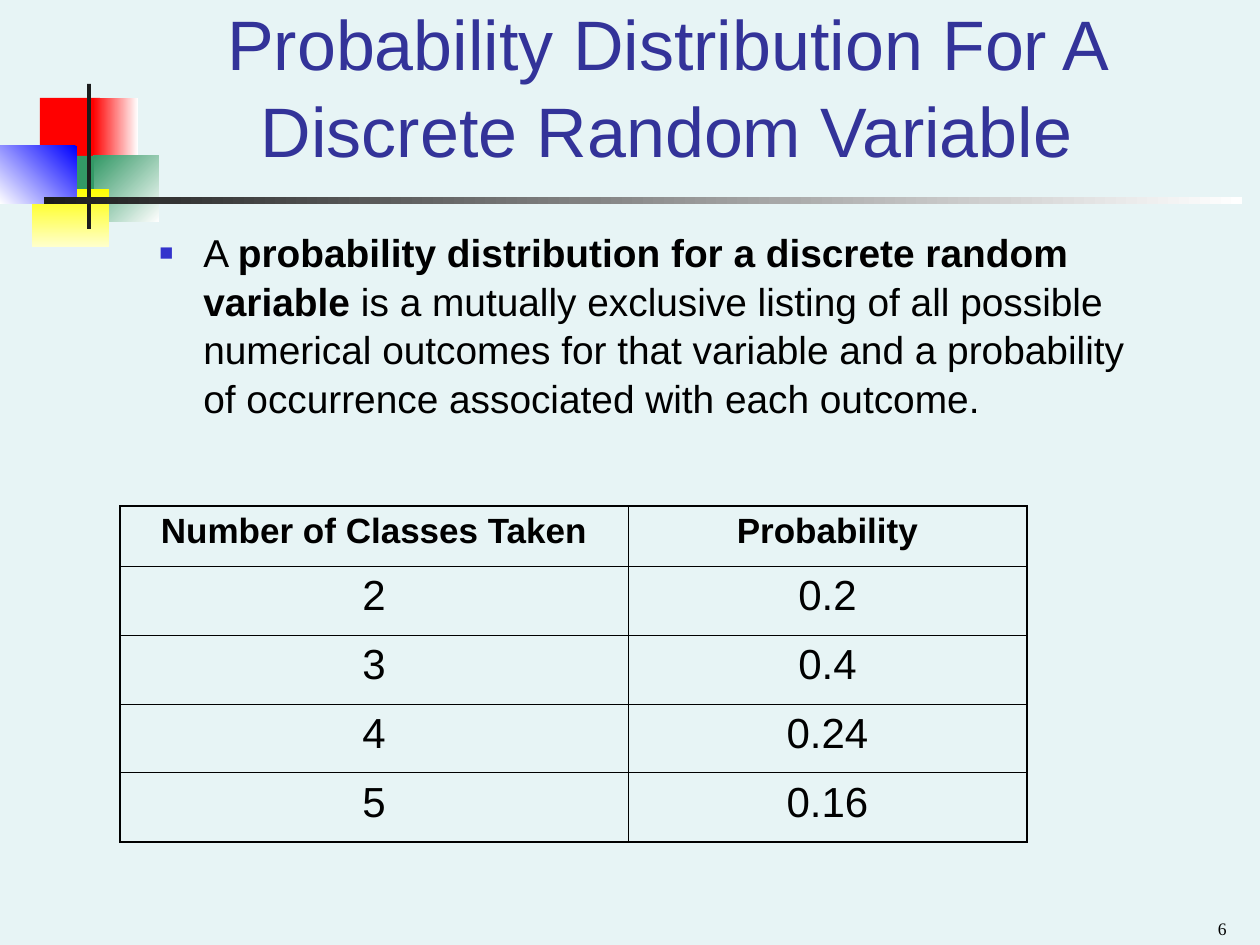
"""Build a slide on the probability distribution of a discrete random variable."""
from dataclasses import dataclass

from lxml.etree import SubElement as Sub
from pptx import Presentation as Deck
from pptx.dml.color import RGBColor as Color
from pptx.enum.shapes import MSO_SHAPE as Kind
from pptx.enum.text import MSO_ANCHOR as Anchor, PP_ALIGN as Align
from pptx.oxml.ns import qn
from pptx.util import Pt

SCALE = 914400 / 126


def emu(px):
    return round(px * SCALE)


@dataclass(frozen=True)
class Theme:
    back: str = "E7F4F5"
    title: str = "333399"
    ink: str = "000000"
    mark: str = "3333CC"
    dark: str = "1C1C1C"
    white: str = "FFFFFF"
    red: str = "FF0000"
    green: str = "339966"
    yellow: str = "FFFF00"
    cream: str = "FFFFCC"
    blue: str = "0000FF"
    sans: str = "Arial"
    serif: str = "Times New Roman"
    head: float = 40
    body: float = 22.2
    label: float = 20
    value: float = 24
    note: float = 10
    thin: float = 0.45
    thick: float = 1.08
    lead: float = 1.04


class Page:
    def __init__(self, slide, theme):
        self.slide, self.theme = slide, theme
        fill = slide.background.fill
        fill.solid()
        fill.fore_color.rgb = Color.from_string(theme.back)

    def block(self, box, tones, angle=0):
        shape = self.slide.shapes.add_shape(Kind.RECTANGLE, *map(emu, box))
        shape.shadow.inherit = False
        shape.line.fill.background()
        if len(tones) == 1:
            shape.fill.solid()
            shape.fill.fore_color.rgb = Color.from_string(tones[0])
            return
        shape.fill.gradient()
        shape.fill.gradient_angle = 360 - angle
        for stop, tone in zip(shape.fill.gradient_stops, tones):
            stop.color.rgb = Color.from_string(tone)

    def style(self, par, size, tone, face, align):
        par.alignment = align
        for run in par.runs:
            run.font.size = Pt(size)
            run.font.name = face
            run.font.color.rgb = Color.from_string(tone)

    def text(self, box, words, size, tone, face, align, anchor):
        frame = self.slide.shapes.add_textbox(*map(emu, box)).text_frame
        frame.word_wrap = True
        frame.vertical_anchor = anchor
        par = frame.paragraphs[0]
        par.text = words[0]
        for word in words[1:]:
            par.add_run().text = word
        self.style(par, size, tone, face, align)
        return par

    def bullet(self, par, px):
        props = par._p.get_or_add_pPr()
        props.set("marL", str(emu(px)))
        props.set("indent", str(-emu(px)))
        Sub(Sub(props, qn("a:buClr")), qn("a:srgbClr"), val=self.theme.mark)
        Sub(props, qn("a:buSzPct"), val="60000")
        Sub(props, qn("a:buFont"), typeface=self.theme.sans)
        Sub(props, qn("a:buChar"), char="■")

    def border(self, cell, sides):
        props = cell._tc.get_or_add_tcPr()
        for side, outer in sides.items():
            width = self.theme.thick if outer else self.theme.thin
            line = Sub(props, qn(f"a:ln{side}"), w=str(Pt(width)))
            Sub(Sub(line, qn("a:solidFill")), qn("a:srgbClr"), val=self.theme.ink)

    def table(self, spot, rows, wide, high):
        theme = self.theme
        box = (*spot, sum(wide), sum(high))
        grid = self.slide.shapes.add_table(len(rows), len(wide), *map(emu, box)).table
        grid.first_row = grid.horz_banding = False
        for col, px in zip(grid.columns, wide):
            col.width = emu(px)
        for r, row in enumerate(rows):
            grid.rows[r].height = emu(high[r])
            for c, word in enumerate(row):
                cell = grid.cell(r, c)
                self.border(cell, {"L": c == 0, "R": c == len(wide) - 1,
                                   "T": r == 0, "B": r == len(rows) - 1})
                cell.fill.background()
                cell.text_frame.text = word
                par = cell.text_frame.paragraphs[0]
                size = theme.value if r else theme.label
                self.style(par, size, theme.ink, theme.sans, Align.CENTER)
                par.space_before = Pt(6 if r else 5)
                par.runs[0].font.bold = r == 0


def main():
    """Draw the slide and save it."""
    deck = Deck()
    deck.slide_width, deck.slide_height = emu(1260), emu(945)
    theme = Theme()
    page = Page(deck.slides.add_slide(deck.slide_layouts[6]), theme)

    for box, tones, angle in (
        ((40, 98, 60, 66), [theme.red], 0),
        ((93, 98, 45, 66), [theme.white, theme.red], 180),
        ((94, 156, 65, 66), [theme.white, theme.green], 225),
        ((54, 156, 40, 66), [theme.green], 0),
        ((32, 189, 77, 58), [theme.yellow, theme.cream], 90),
        ((0, 146, 77, 58), [theme.blue, theme.white], 135),
        ((87, 84, 4, 145), [theme.dark], 0),
        ((44, 197, 1198, 7), [theme.white, theme.dark], 180),
    ):
        page.block(box, tones, angle)

    title = page.text(
        (158, 42, 1017, 136), ["Probability Distribution For A Discrete Random Variable"],
        theme.head, theme.title, theme.sans, Align.CENTER, Anchor.BOTTOM)
    title.line_spacing = theme.lead

    body = page.text(
        (147, 221, 1018, 221),
        ["A ", "probability distribution for a discrete random variable",
         " is a mutually exclusive listing of all possible numerical outcomes for that "
         "variable and a probability of occurrence associated with each outcome."],
        theme.body, theme.ink, theme.sans, Align.LEFT, Anchor.TOP)
    body.runs[1].font.bold = True
    body.line_spacing = theme.lead
    body.space_before = Pt(6)
    page.bullet(body, 44)

    rows = [("Number of Classes Taken", "Probability"),
            ("2", "0.2"), ("3", "0.4"), ("4", "0.24"), ("5", "0.16")]
    page.table((120, 506), rows, [508, 399], [60] + [69] * 4)

    page.text((945, 901, 294, 44), ["6"], theme.note, theme.ink, theme.serif,
              Align.RIGHT, Anchor.BOTTOM)
    deck.save("out.pptx")


if __name__ == "__main__":
    main()
